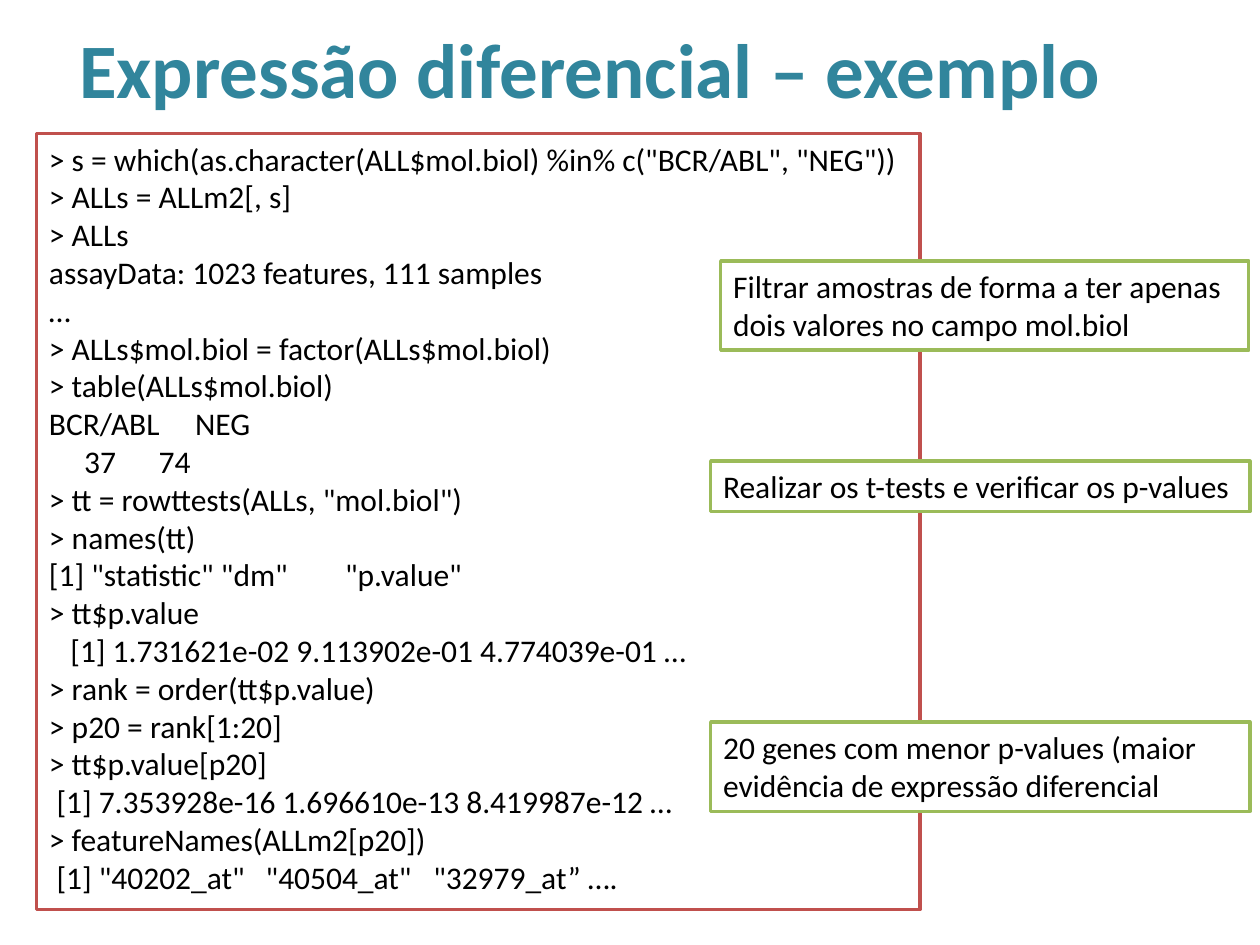
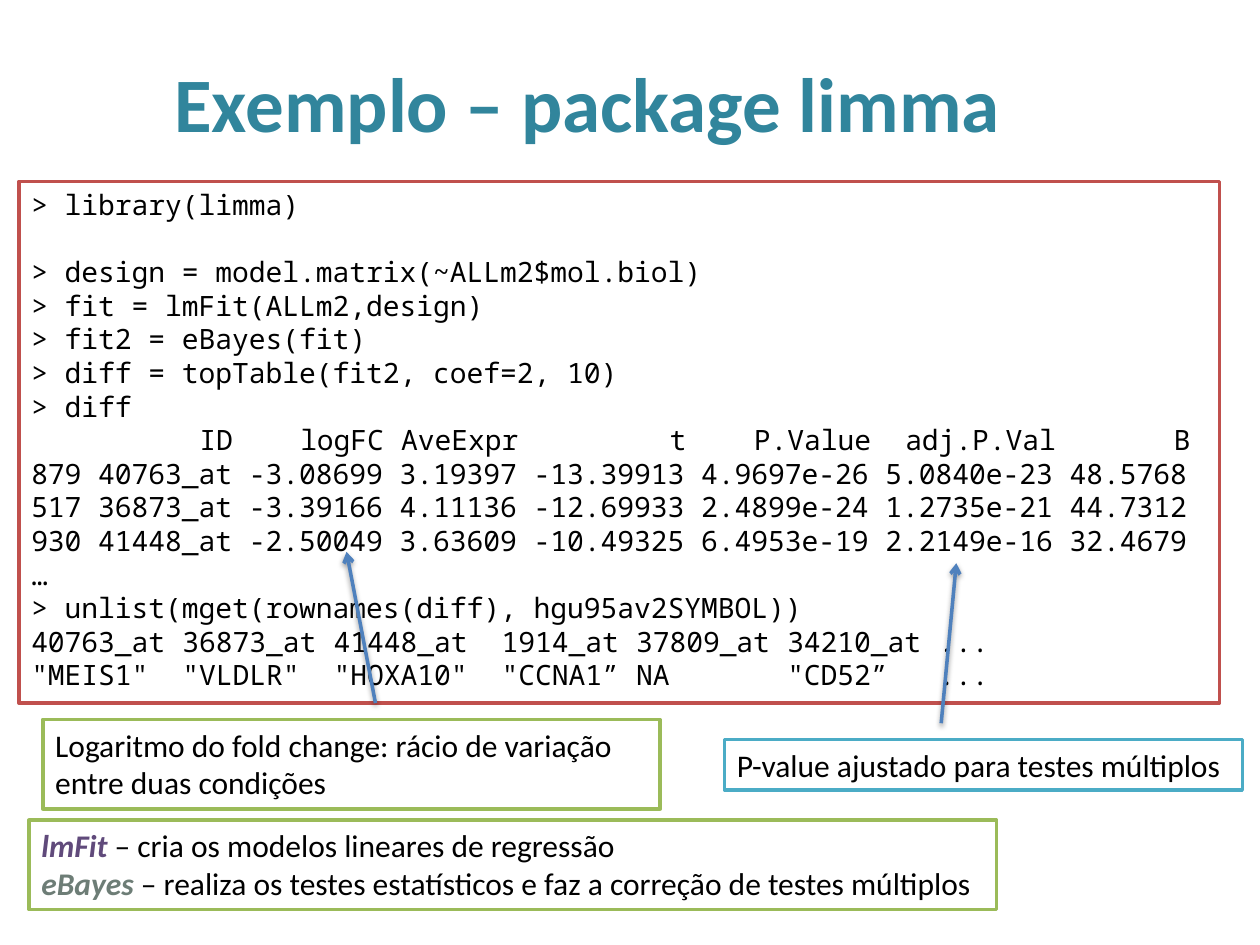
from dataclasses import dataclass

from lxml import etree
from pptx import Presentation
from pptx.dml.color import RGBColor
from pptx.enum.shapes import MSO_CONNECTOR, MSO_SHAPE
from pptx.enum.text import MSO_ANCHOR, MSO_AUTO_SIZE, PP_ALIGN
from pptx.oxml.ns import qn
from pptx.util import Inches, Pt

RECTANGLE = MSO_SHAPE.RECTANGLE
STRAIGHT = MSO_CONNECTOR.STRAIGHT
LEFT, CENTER = PP_ALIGN.LEFT, PP_ALIGN.CENTER
TOP, MIDDLE = MSO_ANCHOR.TOP, MSO_ANCHOR.MIDDLE
GROW = MSO_AUTO_SIZE.SHAPE_TO_FIT_TEXT
TITLE_ONLY = 5


@dataclass(frozen=True)
class Theme:
    title: str = "31859C"
    text: str = "000000"
    box_fill: str = "FFFFFF"
    code_border: str = "C0504D"
    note_border: str = "9BBB59"
    p_value_border: str = "4BACC6"
    arrow: str = "4F81BD"
    lm_fit: str = "604A7B"
    e_bayes: str = "6D7D76"
    font: str = "Calibri"
    mono_font: str = "Noto Sans Mono"
    title_size: int = 44
    text_size: int = 18
    mono_size: int = 16
    line_width: int = 2


THEME = Theme()
MONO_CHAR = THEME.mono_size * 0.6 / 72  # width of one character, in inches
MONO_LINE = THEME.mono_size * 1.2       # height of one line, in points

# Console lines; the tab stops of a line are keyed by its index, in inches
T_TEST_CODE = [
    '> s = which(as.character(ALL$mol.biol) %in% c("BCR/ABL", "NEG"))',
    "> ALLs = ALLm2[, s]",
    "> ALLs",
    "assayData: 1023 features, 111 samples",
    "…",
    "> ALLs$mol.biol = factor(ALLs$mol.biol)",
    "> table(ALLs$mol.biol)",
    "BCR/ABL\tNEG",
    "\t37\t74",
    '> tt = rowttests(ALLs, "mol.biol")',
    "> names(tt)",
    '[1] "statistic" "dm"\t"p.value"',
    "> tt$p.value",
    "\t[1] 1.731621e-02 9.113902e-01 4.774039e-01 …",
    "> rank = order(tt$p.value)",
    "> p20 = rank[1:20]",
    "> tt$p.value[p20]",
    "\t[1] 7.353928e-16 1.696610e-13 8.419987e-12 …",
    "> featureNames(ALLm2[p20])",
    '\t[1] "40202_at"\t"40504_at"\t"32979_at” ….',
]
T_TEST_TABS = {7: [1.16], 8: [0.28, 0.87], 11: [2.35], 13: [0.17],
               17: [0.06], 19: [0.06, 1.72, 3.05]}

LIMMA_CODE = [
    "> library(limma)",
    "> design = model.matrix(~ALLm2$mol.biol)",
    "> fit = lmFit(ALLm2,design)",
    "> fit2 = eBayes(fit)",
    "> diff = topTable(fit2, coef=2, 10)",
    "> diff",
    "\tID\tlogFC\tAveExpr\tt\tP.Value\tadj.P.Val\tB",
    "879 40763_at -3.08699 3.19397 -13.39913 4.9697e-26 5.0840e-23 48.5768",
    "517 36873_at -3.39166 4.11136 -12.69933 2.4899e-24 1.2735e-21 44.7312",
    "930 41448_at -2.50049 3.63609 -10.49325 6.4953e-19 2.2149e-16 32.4679",
    "…",
    "> unlist(mget(rownames(diff), hgu95av2SYMBOL))",
    "40763_at\t36873_at\t41448_at\t1914_at\t37809_at\t34210_at\t...",
    '"MEIS1"\t"VLDLR"\t"HOXA10"\t"CCNA1”\tNA\t"CD52”\t...',
]
DESIGN_LINE, HEADER_LINE, PROBE_LINE, SYMBOL_LINE = 1, 6, 12, 13
HEADER_ENDS = [MONO_CHAR * n for n in (12, 21, 29, 39, 50, 61, 69)]
SYMBOL_STARTS = [MONO_CHAR * n for n in (9, 18, 28, 36, 45, 54)]


def rgb(color):
    return RGBColor.from_string(color)


def style_run(run, size, color=THEME.text, font=THEME.font, bold=False, italic=False):
    run.font.name = font
    run.font.size = Pt(size)
    run.font.color.rgb = rgb(color)
    run.font.bold = bold
    run.font.italic = italic


def set_tabs(paragraph, stops, align="l"):
    tab_list = etree.SubElement(paragraph._p.get_or_add_pPr(), qn("a:tabLst"))
    for stop in stops:
        etree.SubElement(tab_list, qn("a:tab"), pos=str(Inches(stop)), algn=align)


def add_titled_slide(prs, title, left, top, width):
    slide = prs.slides.add_slide(prs.slide_layouts[TITLE_ONLY])
    heading = slide.shapes.title
    heading.left, heading.top = Inches(left), Inches(top)
    heading.width, heading.height = Inches(width), Inches(1.25)
    frame = heading.text_frame
    frame.text = title
    frame.vertical_anchor = MIDDLE
    frame.paragraphs[0].alignment = CENTER
    style_run(frame.paragraphs[0].runs[0], THEME.title_size, THEME.title, bold=True)
    return slide


def add_box(slide, box, lines, border, size=THEME.text_size, font=THEME.font):
    """Outlined box with one paragraph per line; returns its paragraphs."""
    panel = slide.shapes.add_shape(RECTANGLE, *map(Inches, box))
    panel.shadow.inherit = False
    panel.fill.solid()
    panel.fill.fore_color.rgb = rgb(THEME.box_fill)
    panel.line.color.rgb = rgb(border)
    panel.line.width = Pt(THEME.line_width)
    frame = panel.text_frame
    frame.word_wrap = True
    frame.auto_size = GROW
    frame.vertical_anchor = TOP
    frame.text = "\n".join(lines)
    for paragraph in frame.paragraphs:
        paragraph.alignment = LEFT
        for run in paragraph.runs:
            style_run(run, size, font=font)
    return frame.paragraphs


def add_note(slide, box, text, border=THEME.note_border):
    add_box(slide, box, [text], border)


def add_function_notes(slide, box, notes):
    """Box that explains functions, each name in its own colour."""
    paragraphs = add_box(slide, box, [name for name, _, _ in notes], THEME.note_border)
    for paragraph, (_, meaning, color) in zip(paragraphs, notes):
        style_run(paragraph.runs[0], THEME.text_size, color, bold=True, italic=True)
        explanation = paragraph.add_run()
        explanation.text = meaning
        style_run(explanation, THEME.text_size)


def add_arrow(slide, start, end):
    arrow = slide.shapes.add_connector(STRAIGHT, *map(Inches, start + end))
    arrow.line.color.rgb = rgb(THEME.arrow)
    arrow.line.width = Pt(THEME.line_width)
    etree.SubElement(arrow.line._get_or_add_ln(), qn("a:tailEnd"), type="arrow")
    # Soft shadow straight below the line
    effects = etree.SubElement(arrow._element.spPr, qn("a:effectLst"))
    shadow = etree.SubElement(effects, qn("a:outerShdw"), blurRad=str(Pt(3.1)),
                              dist=str(Pt(1.6)), dir="5400000", rotWithShape="0")
    shade = etree.SubElement(shadow, qn("a:srgbClr"), val="000000")
    etree.SubElement(shade, qn("a:alpha"), val="38000")


def build_t_test_slide(prs):
    slide = add_titled_slide(prs, "Expressão diferencial – exemplo", 0.29, -0.09, 8.79)
    code = add_box(slide, (0.29, 1.06, 7.01, 6.16), T_TEST_CODE, THEME.code_border)
    for index, stops in T_TEST_TABS.items():
        set_tabs(code[index], stops)

    # Explanations beside the code
    add_note(slide, (5.72, 2.07, 4.19, 0.71),
             "Filtrar amostras de forma a ter apenas dois valores no campo mol.biol")
    add_note(slide, (5.64, 3.66, 4.28, 0.4),
             "Realizar os t-tests e verificar os p-values")
    add_note(slide, (5.64, 5.73, 4.28, 0.71),
             "20 genes com menor p-values (maior evidência de expressão diferencial")


def build_limma_slide(prs):
    slide = add_titled_slide(prs, "Exemplo – package limma", 0.5, 0.18, 8.33)
    code = add_box(slide, (0.15, 1.44, 9.53, 4.14), LIMMA_CODE, THEME.code_border,
                   THEME.mono_size, THEME.mono_font)
    code[DESIGN_LINE].space_before = Pt(MONO_LINE)
    set_tabs(code[HEADER_LINE], HEADER_ENDS, "r")
    for index in (PROBE_LINE, SYMBOL_LINE):
        set_tabs(code[index], SYMBOL_STARTS)

    # Functions used
    add_function_notes(slide, (0.23, 6.51, 7.68, 0.71), [
        ("lmFit ", "– cria os modelos lineares de regressão", THEME.lm_fit),
        ("eBayes ", "– realiza os testes estatísticos e faz a correção de testes múltiplos",
         THEME.e_bayes),
    ])

    # Explained columns, each with an arrow to its values
    add_note(slide, (5.75, 5.87, 4.11, 0.4),
             "P-value ajustado para testes múltiplos", THEME.p_value_border)
    add_arrow(slide, (7.47, 5.74), (7.59, 4.47))
    add_note(slide, (0.34, 5.71, 4.9, 0.71),
             "Logaritmo do fold change: rácio de variação entre duas condições")
    add_arrow(slide, (2.98, 5.58), (2.75, 4.38))


def main():
    prs = Presentation()
    prs.slide_width, prs.slide_height = Inches(10), Inches(7.5)
    build_t_test_slide(prs)
    build_limma_slide(prs)
    prs.save("out.pptx")


if __name__ == "__main__":
    main()
